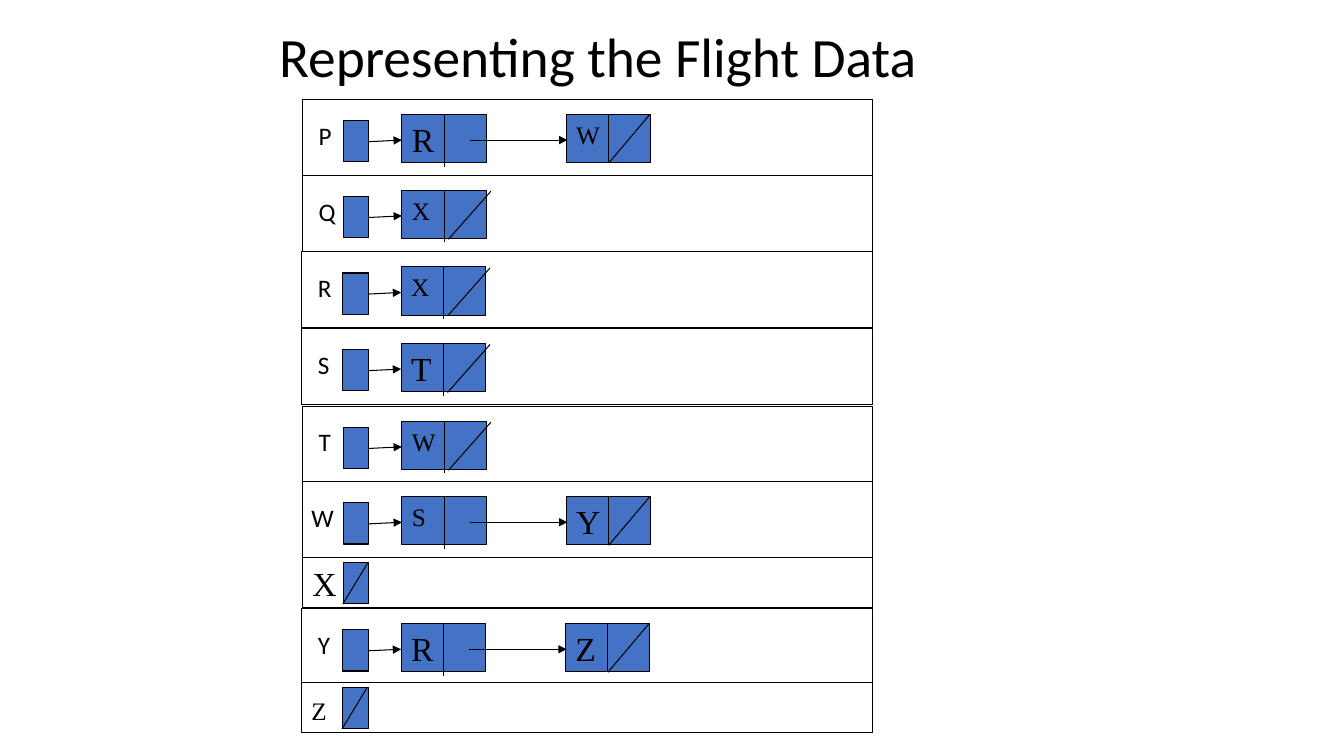
from lxml.etree import SubElement
from pptx import Presentation
from pptx.dml.color import RGBColor
from pptx.enum.shapes import MSO_CONNECTOR, MSO_SHAPE
from pptx.enum.text import MSO_ANCHOR, MSO_AUTO_SIZE, PP_ALIGN
from pptx.oxml.ns import qn
from pptx.util import Cm, Pt

BLACK = RGBColor(0x00, 0x00, 0x00)
WHITE = RGBColor(0xFF, 0xFF, 0xFF)
BLUE = RGBColor(0x44, 0x72, 0xC4)
CALIBRI = "Calibri"
TIMES = "Times New Roman"

deck = Presentation()
deck.slide_width, deck.slide_height = Cm(33.87), Cm(19.05)
slide = deck.slides.add_slide(deck.slide_layouts[5])


def add_block(left, top, width, height, fill=None, text="", size=18, face=TIMES):
    if fill is None:
        block = slide.shapes.add_textbox(Cm(left), Cm(top), Cm(width), Cm(height))
    else:
        block = slide.shapes.add_shape(MSO_SHAPE.RECTANGLE, Cm(left), Cm(top), Cm(width), Cm(height))
        block.shadow.inherit = False
        block.fill.solid()
        block.fill.fore_color.rgb = fill
        block.line.color.rgb = BLACK
        block.line.width = Pt(0.75)
    frame = block.text_frame
    frame.word_wrap = True
    frame.vertical_anchor = MSO_ANCHOR.TOP
    if text:
        paragraph = frame.paragraphs[0]
        paragraph.text = text
        paragraph.alignment = PP_ALIGN.LEFT
        for name, value in {"name": face, "size": Pt(size)}.items():
            setattr(paragraph.font, name, value)
        paragraph.font.color.rgb = BLACK
    return block


def add_link(x1, y1, x2, y2, arrow=False):
    link = slide.shapes.add_connector(MSO_CONNECTOR.STRAIGHT, Cm(x1), Cm(y1), Cm(x2), Cm(y2))
    link.line.color.rgb = BLACK
    link.line.width = Pt(0.75)
    properties = link._element.spPr
    if arrow:
        SubElement(properties.find(qn("a:ln")), qn("a:tailEnd"), type="triangle")
    SubElement(properties, qn("a:effectLst"))


title = slide.shapes.title
title_box = {"left": Cm(6.78), "top": Cm(0.64), "width": Cm(21.59), "height": Cm(1.7)}
for name, value in title_box.items():
    setattr(title, name, value)
title.text_frame.text = "Representing the Flight Data"
title.text_frame.vertical_anchor = MSO_ANCHOR.MIDDLE
title.text_frame.auto_size = MSO_AUTO_SIZE.NONE
heading = title.text_frame.paragraphs[0]
heading.alignment = PP_ALIGN.LEFT
heading.line_spacing = 0.9
for name, value in {"name": CALIBRI, "size": Pt(39.6)}.items():
    setattr(heading.font, name, value)
heading.font.color.rgb = BLACK

flights = [
    ("P", 7.62, 2.51, [("R", 24), ("W", 18)]),
    ("Q", 7.62, 4.42, [("X", 18)]),
    ("R", 7.6, 6.35, [("X", 18)]),
    ("S", 7.6, 8.28, [("T", 24)]),
    ("T", 7.62, 10.24, [("W", 18)]),
    ("W", 7.62, 12.14, [("S", 18), ("Y", 24)]),
    ("X", 7.62, 14.05, []),
    ("Y", 7.6, 15.34, [("R", 24), ("Z", 24)]),
    ("Z", 7.6, 17.2, []),
]

for origin, left, top, destinations in flights:
    if not destinations:
        row = add_block(left, top, 14.38, 1.27, WHITE, origin, 24 if origin == "X" else 18)
        row.text_frame.margin_top = Cm(0.13 if origin == "X" else 0.32)
        add_block(left + 1.04, top + 0.13, 0.64, 1.04, BLUE)
        add_link(left + 1.65, top + 0.13, left + 1.02, top + 1.17)
        continue

    add_block(left, top, 14.38, 1.91, WHITE)
    label_shift = -0.02 if origin == "W" else 0.16
    add_block(left + label_shift, top + 0.39, 1.14, 1.02, text=origin, face=CALIBRI)

    for step, (destination, size) in enumerate(destinations):
        node = left + 2.51 + 4.14 * step
        add_block(node, top + 0.37, 2.13, 1.22, BLUE, destination, size)
        add_link(node + 1.07, top + 0.37, node + 1.07, top + (1.6 if step else 1.69))

    if len(destinations) == 2:
        add_link(left + 4.22, top + 1.02, left + 6.68, top + 1.02, arrow=True)
        add_link(left + 8.76, top + 0.37, left + 7.72, top + 1.6)
    else:
        add_link(left + 4.75, top + 0.4, left + 3.68, top + 1.61)

    add_block(left + 1.04, top + 0.53, 0.64, 1.04, BLUE)
    add_link(left + 1.68, top + 1.06, left + 2.51, top + 1.02, arrow=True)

deck.save("out.pptx")
